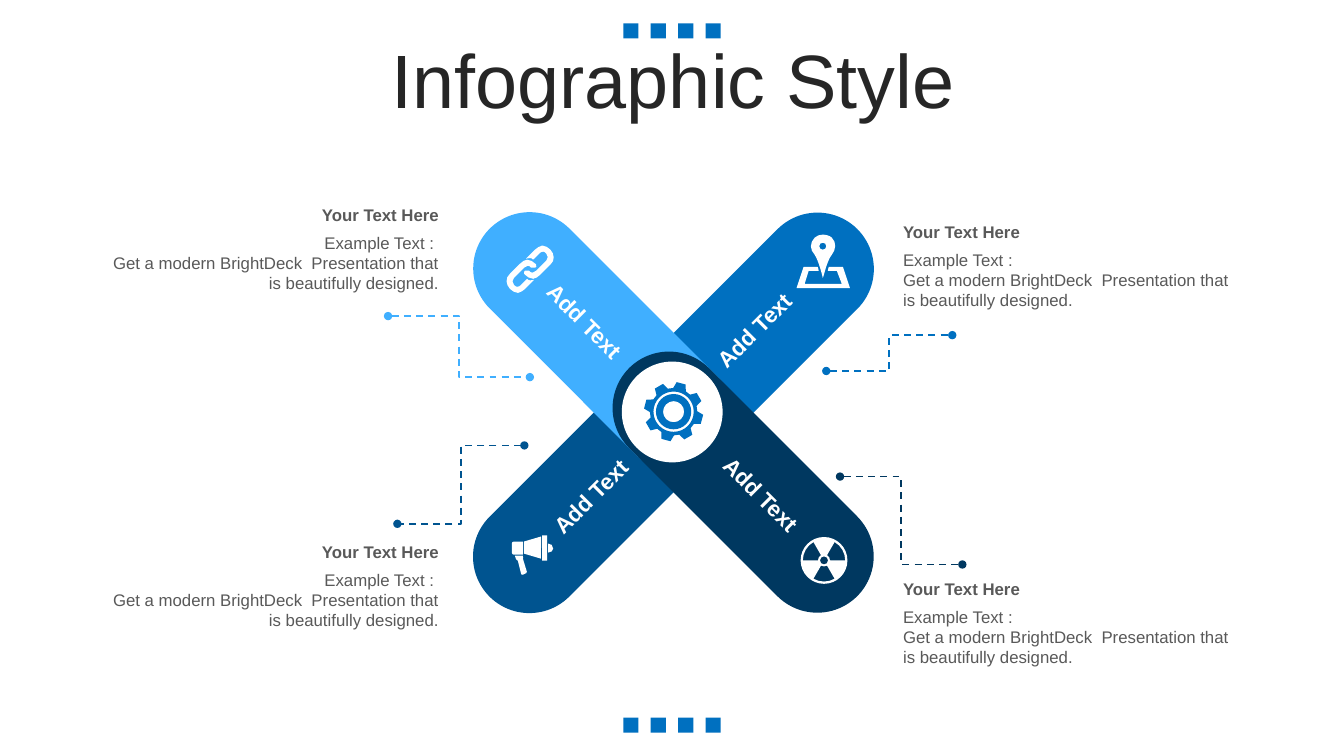
import math
from dataclasses import dataclass

from lxml import etree
from pptx import Presentation
from pptx.dml.color import RGBColor
from pptx.enum import dml, shapes, text
from pptx.oxml import ns
from pptx.util import Pt

BLUE, STEEL, SKY, NAVY = "0070C0", "005490", "40AFFF", "003860"
WHITE, GREY, INK = "FFFFFF", "595959", "262626"
GRID = 0.72  # points per unit of the icon outlines
ARM_WIDTH = 80.6
LABEL_SIZE = (86.4, 26.6)
CALLOUT_WIDTH = 253.6
LEFT_CALLOUT, RIGHT_CALLOUT = 67, 638
HEADING = "Your Text Here"
EXAMPLE = "Example Text :"
DETAIL = "Get a modern BrightDeck  Presentation that is beautifully designed."

Point = tuple[float, float]
Contour = list[tuple[float, ...]]  # a pair is a corner, six numbers are a cubic curve


@dataclass
class Arm:
    colour: str
    centre: Point
    length: float
    rotation: float
    label_centre: Point
    label_rotation: float
    line_start: Point
    line_end: Point
    callout_left: float
    callout_top: float


@dataclass
class Icon:
    origin: Point
    pivot: Point
    contours: list[Contour]
    colour: str = WHITE
    rotation: float = 0


ARMS = [
    Arm(BLUE, (533.5, 242.6), 223.2, 45, (538.6, 235.8), 315,
        (590.2, 265), (680.2, 239.4), RIGHT_CALLOUT, 154.8),
    Arm(STEEL, (428.6, 347.2), 223.2, 225, (421.9, 354.6), 315,
        (374.6, 318.2), (283.9, 374.2), LEFT_CALLOUT, 383.3),
    Arm(SKY, (431.3, 244.8), 230.4, 315, (417.6, 229.3), 45,
        (277.2, 225.8), (378.5, 269.4), LEFT_CALLOUT, 142.8),
    Arm(NAVY, (530.8, 344.4), 230.4, 135, (543.6, 353.2), 45,
        (600, 340.4), (687.4, 403.2), RIGHT_CALLOUT, 409.7),
]


def polar(radius: float, degrees: float, centre: Point = (0, 0)) -> Point:
    """Point at a clockwise angle from straight up."""
    angle = math.radians(degrees)
    return centre[0] + radius * math.sin(angle), centre[1] - radius * math.cos(angle)


def arc(radius: float, start: float = 0, end: float = 360, centre: Point = (0, 0)) -> Contour:
    """Cubic curves, each of a quarter turn at most."""
    pieces = math.ceil(abs(end - start) / 90)
    turn = (end - start) / pieces
    reach = radius * 4 / 3 * math.tan(math.radians(turn / 4))
    nodes: Contour = [polar(radius, start, centre)]
    for piece in range(pieces):
        first, last = start + turn * piece, start + turn * (piece + 1)
        here, there = polar(radius, first, centre), polar(radius, last, centre)
        nodes.append(polar(reach, first + 90, here) + polar(reach, last - 90, there) + there)
    return nodes


def gear_outline() -> Contour:
    return [polar(radius, 45 * tooth + 15 + offset) for tooth in range(8)
            for radius, offset in ((23.5, -16), (29.5, -9), (29.5, 9), (23.5, 16))]


LINK = [(22, 14), (25, 14, 28, 16, 30, 18), (31, 18, 31, 18, 31, 19),
        (32, 22, 29, 23, 27, 22), (26, 22), (24, 19, 21, 20, 19, 22), (9, 32),
        (7, 34, 7, 37, 9, 39), (10, 40, 11, 41, 12, 41), (14, 41, 15, 40, 16, 39),
        (22, 33), (23, 35, 27, 35, 29, 34), (20, 43), (18, 45, 16, 46, 13, 47),
        (10, 47, 7, 45, 5, 43), (1, 39, 0, 32, 5, 28), (15, 18), (17, 16, 20, 14, 22, 14)]
OPPOSITE_LINK = [tuple((50, 47)[i % 2] - value for i, value in enumerate(node))
                 for node in LINK]
MAP_SHEET = [(7, 32), (21, 32), (21, 33, 22, 34, 22, 36), (12, 36), (8, 49), (45, 49),
             (40, 36), (31, 36), (31, 34, 32, 33, 32, 32), (46, 32), (53, 53), (0, 53)]
MAP_PIN = [(26, 0), (29, 0, 33, 1, 35, 3), (40, 8, 39, 15, 35, 20),
           (30, 26, 27, 42, 26, 43), (26, 42, 22, 26, 18, 20),
           (13, 15, 13, 8, 18, 3), (20, 1, 23, 0, 26, 0)]
MEGAPHONE = [
    [(11, 20), (11, 21), (12, 22, 11, 22, 11, 23), (15, 36), (15, 37, 14, 38, 13, 38),
     (11, 39), (10, 39, 9, 39, 9, 37), (6, 25), (5, 24, 4, 24, 4, 23), (3, 20)],
    [(36, 8), (39, 8, 41, 10, 41, 13), (41, 15, 39, 17, 36, 17)],
    [(2, 6), (11, 6), (11, 19), (2, 19), (1, 19, 0, 18, 0, 17), (0, 8), (0, 7, 1, 6, 2, 6)],
    [(29, 1), (29, 23), (12, 18), (12, 6)],
    [(30, 0), (35, 0), (35, 25), (30, 25)],
]
FAN_BLADES = [arc(21, middle - 30, middle + 30) + arc(6, middle + 30, middle - 30)
              for middle in (60, 180, 300)]
ICONS = [
    Icon((481.2, 294.1), (0, 0), [arc(10.5), arc(17.5), arc(20), gear_outline()], BLUE),
    Icon((366.4, 383), (21, 18), MEGAPHONE, rotation=165),
    Icon((569, 167.6), (0, 0), [MAP_SHEET, arc(3.5, centre=(26, 11.5)), MAP_PIN]),
    Icon((360.7, 175.4), (25, 23.5), [LINK, OPPOSITE_LINK], rotation=44.1),
    Icon((588.6, 400.3), (0, 0), [arc(23.2), arc(4), *FAN_BLADES]),
]


def rgb(colour: str) -> RGBColor:
    return RGBColor.from_string(colour)


def paint(shape, colour: str) -> None:
    shape.shadow.inherit = False
    shape.fill.solid()
    shape.fill.fore_color.rgb = rgb(colour)
    shape.line.fill.background()


def add_solid(slide, kind, left: float, top: float, width: float, height: float, colour: str):
    shape = slide.shapes.add_shape(kind, Pt(left), Pt(top), Pt(width), Pt(height))
    paint(shape, colour)
    return shape


def write(frame, lines: list[str], size: float, colour: str, align, bold: bool = False) -> None:
    frame.word_wrap = True
    frame.text = "\n".join(lines)
    for paragraph in frame.paragraphs:
        paragraph.alignment = align
        font = paragraph.font
        font.name, font.size, font.bold = "Arial", Pt(size), bold
        font.color.rgb = rgb(colour)


def bend(shape, contours: list[Contour]) -> None:
    """Join the three segments of each curved node into one cubic curve."""
    segments = iter(list(shape.element.iter(ns.qn("a:lnTo"))))
    for node in (node for contour in contours for node in contour[1:]):
        parts = [next(segments) for _ in range(len(node) // 2)]
        if len(parts) == 3:
            curve = etree.Element(ns.qn("a:cubicBezTo"))
            parts[0].addprevious(curve)
            for part in parts:
                curve.append(part[0])
                part.getparent().remove(part)


def add_icon(slide, icon: Icon) -> None:
    angle = math.radians(-icon.rotation)
    cos, sin = math.cos(angle), math.sin(angle)

    def place(point: Point) -> tuple[int, int]:
        x, y = point[0] - icon.pivot[0], point[1] - icon.pivot[1]
        return (Pt(icon.origin[0] + GRID * (icon.pivot[0] + x * cos - y * sin)),
                Pt(icon.origin[1] + GRID * (icon.pivot[1] + x * sin + y * cos)))

    outlines = [[place(node[i:i + 2]) for node in contour for i in range(0, len(node), 2)]
                for contour in icon.contours]
    builder = slide.shapes.build_freeform(*outlines[0][0], scale=1.0)
    for number, outline in enumerate(outlines):
        if number:
            builder.move_to(*outline[0])
        builder.add_line_segments(outline[1:], close=True)
    shape = builder.convert_to_shape()
    bend(shape, icon.contours)
    shape.rotation = icon.rotation
    paint(shape, icon.colour)


def add_arm(slide, arm: Arm) -> None:
    x, y = arm.centre
    shape = add_solid(slide, shapes.MSO_SHAPE.ROUNDED_RECTANGLE, x - ARM_WIDTH / 2,
                      y - arm.length / 2, ARM_WIDTH, arm.length, arm.colour)
    shape.adjustments[0] = 0.5
    shape.rotation = arm.rotation


def add_leader(slide, arm: Arm) -> None:
    connector = slide.shapes.add_connector(
        shapes.MSO_CONNECTOR.ELBOW, *map(Pt, arm.line_start + arm.line_end))
    connector.line.width = Pt(1.25)
    connector.line.color.rgb = rgb(arm.colour)
    connector.line.dash_style = dml.MSO_LINE.DASH
    properties = connector.element.spPr
    for end in ("a:headEnd", "a:tailEnd"):
        etree.SubElement(properties.find(ns.qn("a:ln")), ns.qn(end), type="oval")
    etree.SubElement(properties, ns.qn("a:effectLst"))


def add_callout(slide, arm: Arm) -> None:
    on_left = arm.callout_left == LEFT_CALLOUT
    align = text.PP_ALIGN.RIGHT if on_left else text.PP_ALIGN.LEFT
    details = [EXAMPLE + " " * on_left, DETAIL]
    for offset, height, lines, bold in ((0, 21.6, [HEADING], True), (20, 51, details, False)):
        box = slide.shapes.add_textbox(Pt(arm.callout_left), Pt(arm.callout_top + offset),
                                       Pt(CALLOUT_WIDTH), Pt(height))
        write(box.text_frame, lines, 12, GREY, align, bold)


def add_label(slide, arm: Arm) -> None:
    (x, y), (width, height) = arm.label_centre, LABEL_SIZE
    box = slide.shapes.add_textbox(Pt(x - width / 2), Pt(y - height / 2), Pt(width), Pt(height))
    box.rotation = arm.label_rotation
    box.text_frame.margin_left = box.text_frame.margin_right = 0
    write(box.text_frame, ["Add Text"], 16, WHITE, text.PP_ALIGN.CENTER, True)


def add_title(slide) -> None:
    title = slide.shapes.title
    title.left, title.top, title.width, title.height = map(Pt, (25.2, 31.7, 911.5, 56.9))
    frame = title.text_frame
    write(frame, ["Infographic Style"], 54, INK, text.PP_ALIGN.CENTER)
    frame.auto_size = text.MSO_AUTO_SIZE.NONE
    frame.vertical_anchor = text.MSO_ANCHOR.MIDDLE
    frame.paragraphs[0].line_spacing = 0.9


def main() -> None:
    presentation = Presentation()
    presentation.slide_width, presentation.slide_height = Pt(960), Pt(540)
    slide = presentation.slides.add_slide(presentation.slide_layouts[5])
    for top in (16.6, 512.6):
        for column in range(4):
            add_solid(slide, shapes.MSO_SHAPE.RECTANGLE, 445.2 + 19.6 * column, top,
                      10.8, 10.8, BLUE)
    add_title(slide)
    for arm in ARMS:
        add_arm(slide, arm)
    add_solid(slide, shapes.MSO_SHAPE.OVAL, 444.2, 258.3, 72, 72, WHITE)
    for icon in ICONS:
        add_icon(slide, icon)
    for arm in ARMS:
        add_leader(slide, arm)
        add_callout(slide, arm)
        add_label(slide, arm)
    presentation.save("out.pptx")


if __name__ == "__main__":
    main()
